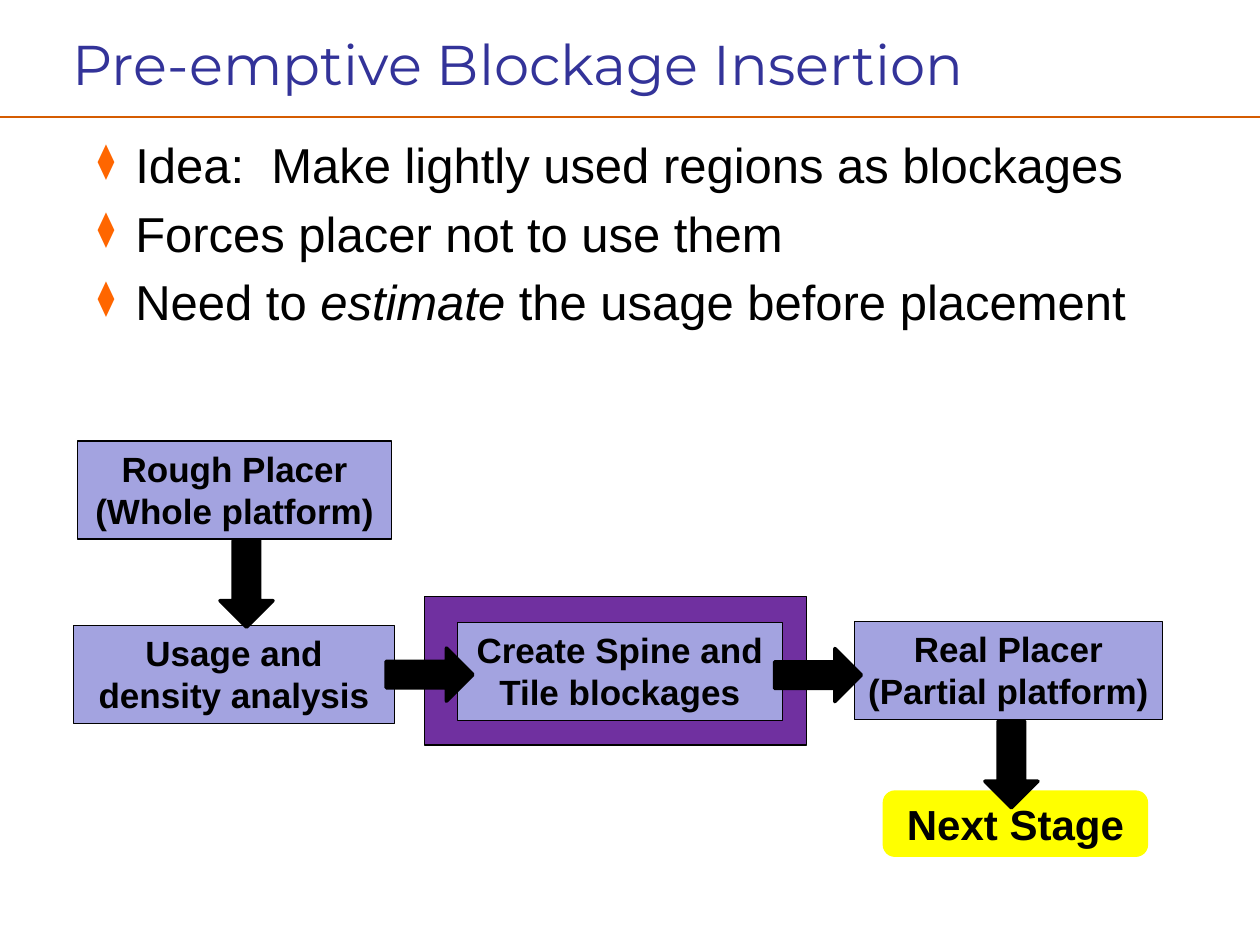
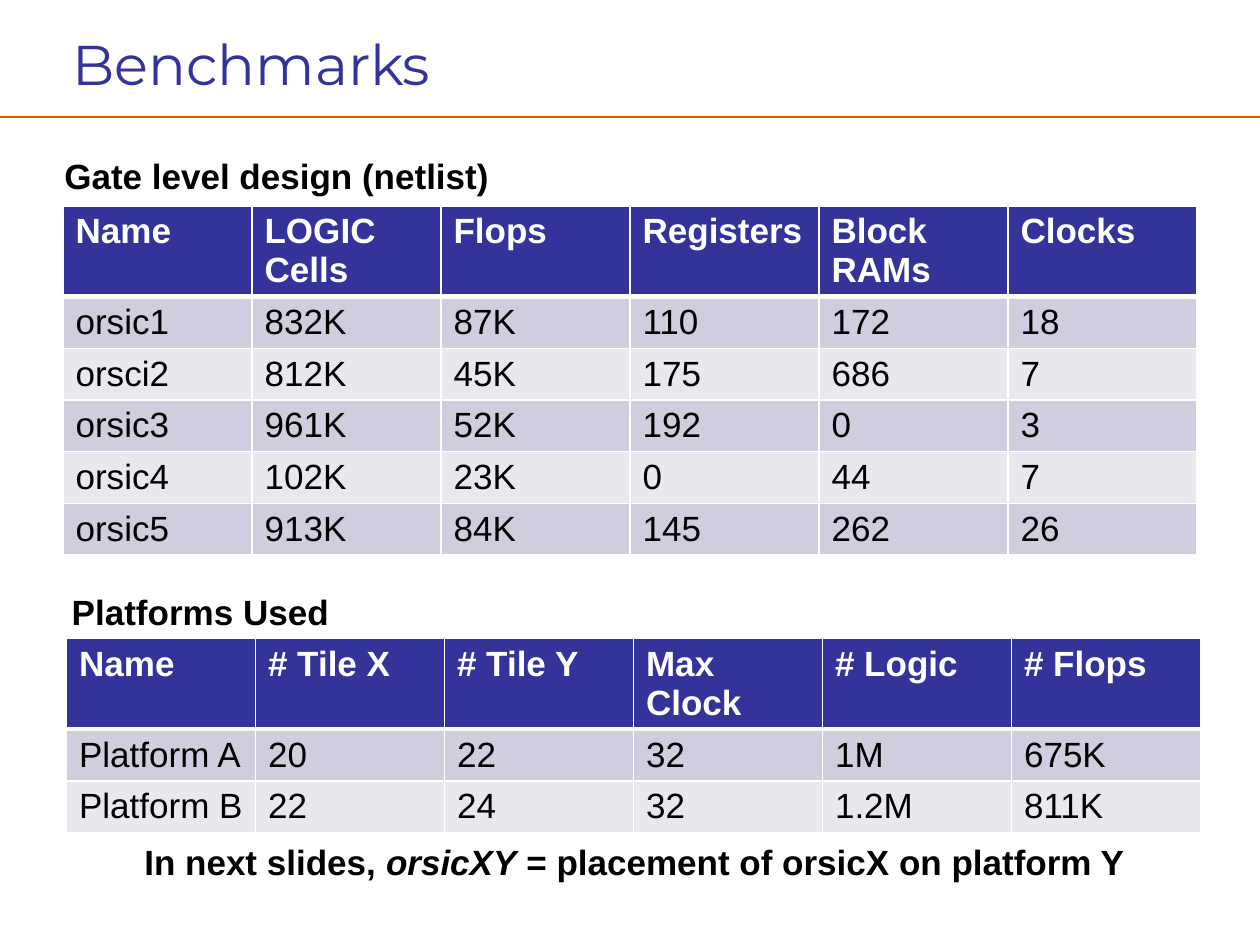
from dataclasses import dataclass

from lxml import etree
from pptx import Presentation
from pptx.dml.color import RGBColor
from pptx.enum.shapes import MSO_CONNECTOR, MSO_SHAPE
from pptx.enum.text import MSO_ANCHOR, PP_ALIGN
from pptx.oxml.ns import qn
from pptx.util import Cm, Pt

LEFT, CENTER = PP_ALIGN.LEFT, PP_ALIGN.CENTER
TOP, MIDDLE = MSO_ANCHOR.TOP, MSO_ANCHOR.MIDDLE
RECT, ROUNDED = MSO_SHAPE.RECTANGLE, MSO_SHAPE.ROUNDED_RECTANGLE
DOWN, RIGHT = MSO_SHAPE.DOWN_ARROW, MSO_SHAPE.RIGHT_ARROW
STRAIGHT = MSO_CONNECTOR.STRAIGHT
TITLE_ONLY = 5


@dataclass(frozen=True)
class Theme:
    title_font: str = "Montserrat"
    body_font: str = "Arial"
    title_size: int = 32
    bullet_size: int = 28
    stage_size: int = 24
    label_size: int = 20
    navy: str = "333399"
    rule: str = "D55C01"
    orange: str = "FF6600"
    lilac: str = "A3A3E0"
    purple: str = "7030A0"
    yellow: str = "FFFF00"
    black: str = "000000"
    white: str = "FFFFFF"
    bands: tuple = ("CECEDE", "E8E8EF")


THEME = Theme()

# Text between asterisks is italic. Positions are left, top, width, height in cm.
SLIDE_SIZE = (25.4, 19.05)
TITLE_AREA = (1.21, 0.28, 22.99, 1.98)
RULE_Y = 2.36

IDEA_TITLE = "Pre-emptive Blockage Insertion"
IDEA_AREA = (1.39, 2.59, 23.27, 14.83)
IDEAS = [
    "Idea:  Make lightly used regions as blockages",
    "Forces placer not to use them",
    "Need to *estimate* the usage before placement",
]
HIGHLIGHT_AREA = (8.56, 12.02, 7.7, 3.0)
STEP_HEIGHT = 1.98
STEPS = [  # lines, left, top, width
    (["Rough Placer", "(Whole platform)"], 1.57, 8.89, 6.32),
    (["Usage and density analysis"], 1.48, 12.61, 6.48),
    (["Create Spine and Tile blockages"], 9.22, 12.55, 6.55),
    (["Real Placer", "(Partial platform)"], 17.22, 12.53, 6.22),
]
NEXT_STAGE = "Next Stage"
NEXT_STAGE_AREA = (17.83, 15.97, 5.28, 1.27)
ARROW_LENGTH, ARROW_BREADTH = 1.75, 1.07
ARROWS = [  # direction, centre x, centre y
    (DOWN, 4.97, 11.77),
    (RIGHT, 8.66, 13.6),
    (RIGHT, 16.49, 13.61),
    (DOWN, 20.39, 15.41),
]

BENCHMARK_TITLE = "Benchmarks"
CAPTIONS = [
    ("Gate level design (netlist)", (1.02, 3.0, 9.12, 1.12)),
    ("Platforms Used", (1.17, 11.78, 5.74, 1.12)),
    ("In next slides, *orsicXY* = placement of orsicX on platform Y",
     (2.51, 16.81, 20.57, 1.12)),
]
DESIGNS = [
    ("Name", "LOGIC Cells", "Flops", "Registers", "Block RAMs", "Clocks"),
    ("orsic1", "832K", "87K", "110", "172", "18"),
    ("orsci2", "812K", "45K", "175", "686", "7"),
    ("orsic3", "961K", "52K", "192", "0", "3"),
    ("orsic4", "102K", "23K", "0", "44", "7"),
    ("orsic5", "913K", "84K", "145", "262", "26"),
]
PLATFORMS = [
    ("Name", "# Tile X", "# Tile Y", "Max Clock", "# Logic", "# Flops"),
    ("Platform A", "20", "22", "32", "1M", "675K"),
    ("Platform B", "22", "24", "32", "1.2M", "811K"),
]
TABLES = [(DESIGNS, 1.27, 4.15), (PLATFORMS, 1.34, 12.87)]
COLUMN_WIDTH, HEADER_HEIGHT, ROW_HEIGHT = 3.81, 1.8, 1.04


def rgb(color):
    return RGBColor.from_string(color)


def cm(lengths):
    return [Cm(length) for length in lengths]


def write(frame, lines, size=THEME.label_size, font=THEME.body_font,
          color=THEME.black, bold=False, align=LEFT, anchor=TOP, wrap=True,
          gap=0, bullet=None):
    """Fill a text frame, one paragraph per line."""
    frame.word_wrap = wrap
    frame.vertical_anchor = anchor
    for index, line in enumerate(lines):
        paragraph = frame.paragraphs[0] if index == 0 else frame.add_paragraph()
        if bullet:
            add_bullet(paragraph, bullet)
        paragraph.alignment = align
        paragraph.line_spacing = 1.0
        paragraph.space_before = Pt(gap if index else 0)
        for position, part in enumerate(line.split("*")):
            run = paragraph.add_run()
            run.text = part
            run.font.name, run.font.size = font, Pt(size)
            run.font.bold, run.font.italic = bold, position % 2 == 1
            run.font.color.rgb = rgb(color)


def add_bullet(paragraph, symbol):
    properties = paragraph._p.get_or_add_pPr()
    properties.set("marL", str(Cm(1.09)))
    properties.set("indent", str(Cm(-0.76)))
    color = etree.SubElement(properties, qn("a:buClr"))
    etree.SubElement(color, qn("a:srgbClr"), val=THEME.orange)
    etree.SubElement(properties, qn("a:buSzPct"), val="70000")
    etree.SubElement(properties, qn("a:buChar"), char=symbol)


def add_block(slide, kind, area, fill, line=THEME.black, weight=0.75):
    block = slide.shapes.add_shape(kind, *cm(area))
    block.shadow.inherit = False
    block.fill.solid()
    block.fill.fore_color.rgb = rgb(fill)
    block.line.color.rgb = rgb(line)
    block.line.width = Pt(weight)
    return block


def add_arrow(slide, direction, x, y):
    width, height = ARROW_BREADTH, ARROW_LENGTH
    if direction == RIGHT:
        width, height = height, width
    area = (x - width / 2, y - height / 2, width, height)
    add_block(slide, direction, area, THEME.black, weight=2)


def underline_cell(cell, weight):
    """Give a cell a white bottom border."""
    border = etree.Element(qn("a:lnB"), w=str(Pt(weight)))
    fill = etree.SubElement(border, qn("a:solidFill"))
    etree.SubElement(fill, qn("a:srgbClr"), val=THEME.white)
    cell._tc.get_or_add_tcPr().insert(0, border)


def add_grid(slide, rows, left, top):
    """Add a table with a dark header and banded rows."""
    columns = len(rows[0])
    height = HEADER_HEIGHT + ROW_HEIGHT * (len(rows) - 1)
    area = cm((left, top, COLUMN_WIDTH * columns, height))
    table = slide.shapes.add_table(len(rows), columns, *area).table
    for r, values in enumerate(rows):
        header = r == 0
        table.rows[r].height = Cm(HEADER_HEIGHT if header else ROW_HEIGHT)
        fill = THEME.navy if header else THEME.bands[(r - 1) % 2]
        for c, value in enumerate(values):
            cell = table.cell(r, c)
            cell.fill.solid()
            cell.fill.fore_color.rgb = rgb(fill)
            if header:
                underline_cell(cell, weight=3)
            write(cell.text_frame, [value], bold=header,
                  color=THEME.white if header else THEME.black)


def add_titled_slide(deck, title):
    """Add a slide with the shared rule and title style."""
    slide = deck.slides.add_slide(deck.slide_layouts[TITLE_ONLY])
    rule = slide.shapes.add_connector(
        STRAIGHT, *cm((0, RULE_Y, SLIDE_SIZE[0], RULE_Y)))
    rule.line.color.rgb = rgb(THEME.rule)
    rule.line.width = Pt(1)
    etree.SubElement(rule._element.spPr, qn("a:effectLst"))
    heading = slide.shapes.title
    heading.left, heading.top, heading.width, heading.height = cm(TITLE_AREA)
    write(heading.text_frame, [title], size=THEME.title_size,
          font=THEME.title_font, color=THEME.navy, anchor=MIDDLE)
    return slide


def build_insertion(deck):
    slide = add_titled_slide(deck, IDEA_TITLE)
    add_block(slide, RECT, HIGHLIGHT_AREA, THEME.purple)
    ideas = slide.shapes.add_textbox(*cm(IDEA_AREA))
    write(ideas.text_frame, IDEAS, size=THEME.bullet_size, gap=5.6, bullet="⧫")
    for lines, left, top, width in STEPS:
        step = add_block(slide, RECT, (left, top, width, STEP_HEIGHT), THEME.lilac)
        write(step.text_frame, lines, bold=True, align=CENTER)
    stage = add_block(slide, ROUNDED, NEXT_STAGE_AREA, THEME.yellow,
                      line=THEME.yellow, weight=2)
    write(stage.text_frame, [NEXT_STAGE], size=THEME.stage_size, bold=True,
          align=CENTER, anchor=MIDDLE)
    for arrow in ARROWS:
        add_arrow(slide, *arrow)


def build_benchmarks(deck):
    slide = add_titled_slide(deck, BENCHMARK_TITLE)
    for grid in TABLES:
        add_grid(slide, *grid)
    for text, area in CAPTIONS:
        caption = slide.shapes.add_textbox(*cm(area))
        write(caption.text_frame, [text], bold=True, align=CENTER, wrap=False)


def main():
    deck = Presentation()
    deck.slide_width, deck.slide_height = cm(SLIDE_SIZE)
    build_insertion(deck)
    build_benchmarks(deck)
    deck.save("out.pptx")


if __name__ == "__main__":
    main()
